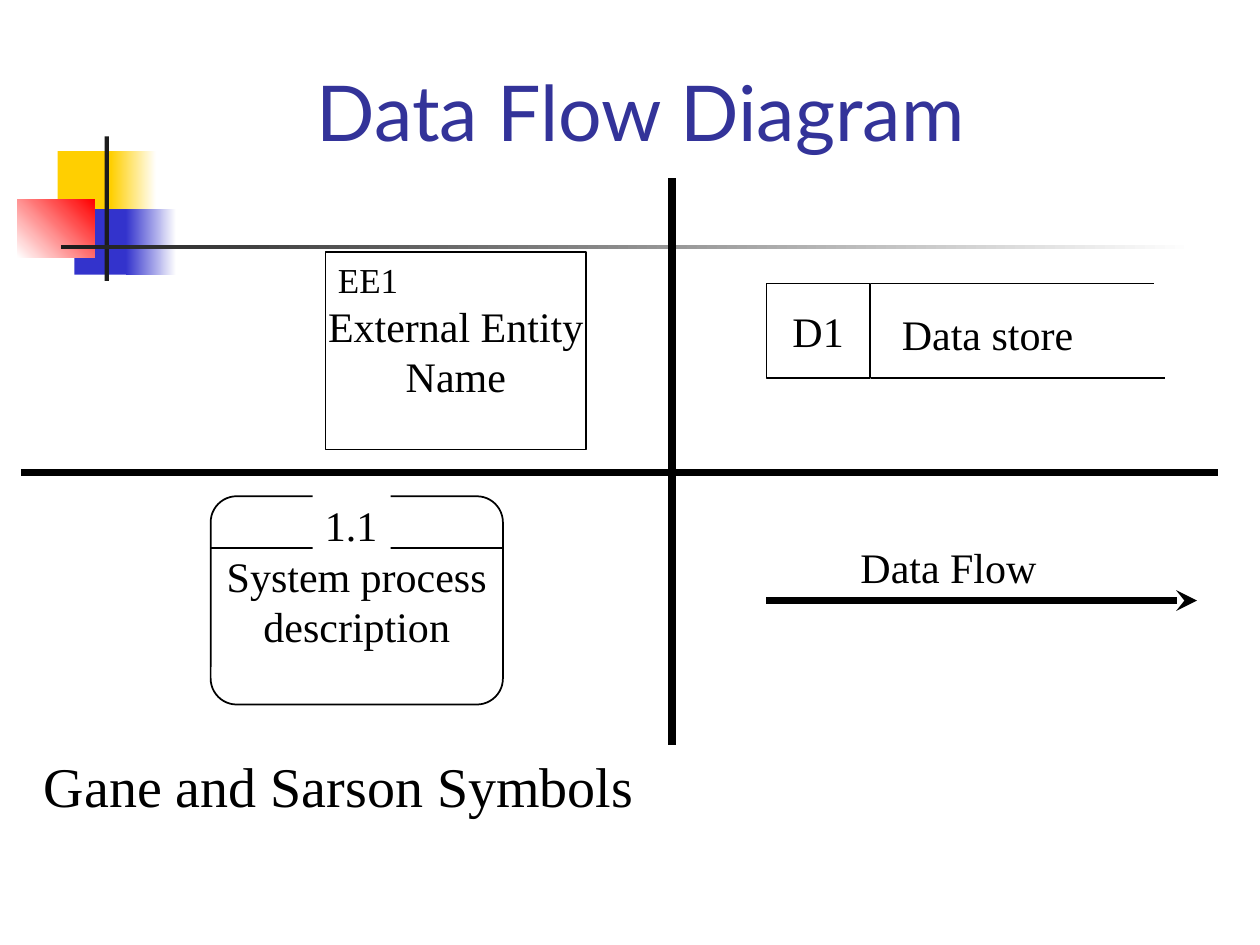
"""Build the Gane and Sarson data flow diagram slide."""
from lxml import etree
from pptx import Presentation
from pptx import util as u
from pptx.dml.color import RGBColor
from pptx.enum import shapes, text
from pptx.oxml.ns import qn

COLORS = {"white": "FFFFFF", "black": "000000", "ink": "1C1C1C", "yellow": "FFCF01",
          "blue": "3333CC", "red": "FF0000", "title": "333399"}
RECT = shapes.MSO_SHAPE.RECTANGLE
ROUNDED = shapes.MSO_SHAPE.ROUNDED_RECTANGLE
SERIF = "Times New Roman"


def rgb(name):
    return RGBColor.from_string(COLORS[name])


def add_box(parent, box, fill=None, outline=False, kind=RECT):
    sp = parent.add_shape(kind, *map(u.Pt, box))
    sp.shadow.inherit = False
    if fill:
        sp.fill.solid()
        sp.fill.fore_color.rgb = rgb(fill)
    else:
        sp.fill.background()
    if outline:
        sp.line.color.rgb = rgb("black")
        sp.line.width = u.Pt(1)
    else:
        sp.line.fill.background()
    return sp


def add_fade(parent, box, start, end, angle=0):
    sp = add_box(parent, box)
    sp.fill.gradient()
    sp.fill.gradient_angle = angle
    for stop, name, position in zip(sp.fill.gradient_stops, (start, end), (0, 1)):
        stop.color.rgb = rgb(name)
        stop.position = position


def write(sp, lines, size=24, font=SERIF, color="black", center=False,
          middle=False, wrap=False, grow=False):
    tf = sp.text_frame
    tf.word_wrap = wrap
    tf.auto_size = text.MSO_AUTO_SIZE.SHAPE_TO_FIT_TEXT if grow else text.MSO_AUTO_SIZE.NONE
    tf.vertical_anchor = text.MSO_ANCHOR.MIDDLE if middle else text.MSO_ANCHOR.TOP
    for i, line in enumerate(lines):
        p = tf.add_paragraph() if i else tf.paragraphs[0]
        p.alignment = text.PP_ALIGN.CENTER if center else text.PP_ALIGN.LEFT
        r = p.add_run()
        r.text = line
        r.font.size = u.Pt(size)
        r.font.name = font
        r.font.color.rgb = rgb(color)


def add_label(parent, box, line, **style):
    write(parent.add_textbox(*map(u.Pt, box)), [line], **style)


def add_line(parent, x1, y1, x2, y2, width=1, arrow=False):
    cx = parent.add_connector(shapes.MSO_CONNECTOR.STRAIGHT, *map(u.Pt, (x1, y1, x2, y2)))
    cx.line.color.rgb = rgb("black")
    cx.line.width = u.Pt(width)
    if arrow:
        etree.SubElement(cx.line._get_or_add_ln(), qn("a:tailEnd"), type="stealth")
    etree.SubElement(cx._element.spPr, qn("a:effectLst"))


def add_ornament(parent):
    add_box(parent, (33, 86.4, 34.6, 37.4), "yellow")
    add_fade(parent, (63.4, 86.4, 25.9, 37.4), "yellow", "white")
    add_box(parent, (42.5, 119.5, 33.1, 37.4), "blue")
    add_fade(parent, (72, 119.5, 28.8, 37.4), "blue", "white")
    add_fade(parent, (10, 113.8, 44, 33.4), "white", "red", 45)
    add_box(parent, (59.8, 78, 2.4, 82.6), "ink")
    add_fade(parent, (34.6, 140.1, 648, 2.5), "ink", "white")


def add_entity(parent):
    entity = add_box(parent, (186, 144, 149, 113), "white", True)
    write(entity, ["External Entity", "Name"], center=True, middle=True)
    add_label(parent, (186, 144, 49, 31), "EE1", size=20, grow=True)


def add_process(parent):
    process = add_box(parent, (120.4, 283.6, 167, 119), "white", True, ROUNDED)
    process.adjustments[0] = 0.125
    write(process, ["System process", "description"], center=True, middle=True)
    add_line(parent, 120.4, 313.2, 287.4, 313.2)
    write(add_box(parent, (178.6, 282.2, 44.6, 36), "white"), ["1.1"], grow=True)


def add_store(parent):
    store = add_box(parent, (438, 162, 59, 54), outline=True)
    write(store, ["D1"], center=True, middle=True)
    add_line(parent, 497.5, 162, 659.5, 162)
    add_line(parent, 497.5, 216, 665.5, 216)
    add_label(parent, (508.3, 173, 112.3, 36), "Data store", grow=True)


def add_flow(parent):
    add_line(parent, 438, 343.2, 684, 343.2, 4, arrow=True)
    add_label(parent, (484.6, 306, 115.2, 36), "Data Flow", grow=True)


def main():
    prs = Presentation()
    prs.slide_width, prs.slide_height = u.Pt(720), u.Pt(540)
    s = prs.slides.add_slide(prs.slide_layouts[6])
    add_ornament(s.shapes)
    add_label(s.shapes, (174, 18, 480, 90), "Data Flow Diagram", size=44,
              font="Lato", color="title", middle=True, wrap=True)
    add_entity(s.shapes)
    for add_symbol in (add_process, add_store, add_flow):
        add_symbol(s.shapes.add_group_shape().shapes)
    add_label(s.shapes, (18, 426, 560, 45.4), "Gane and Sarson Symbols",
              size=32, wrap=True, grow=True)
    add_line(s.shapes, 12, 270, 696, 270, 4.5)
    add_line(s.shapes, 384, 102, 384, 426, 4.5)
    prs.save("out.pptx")


main()
